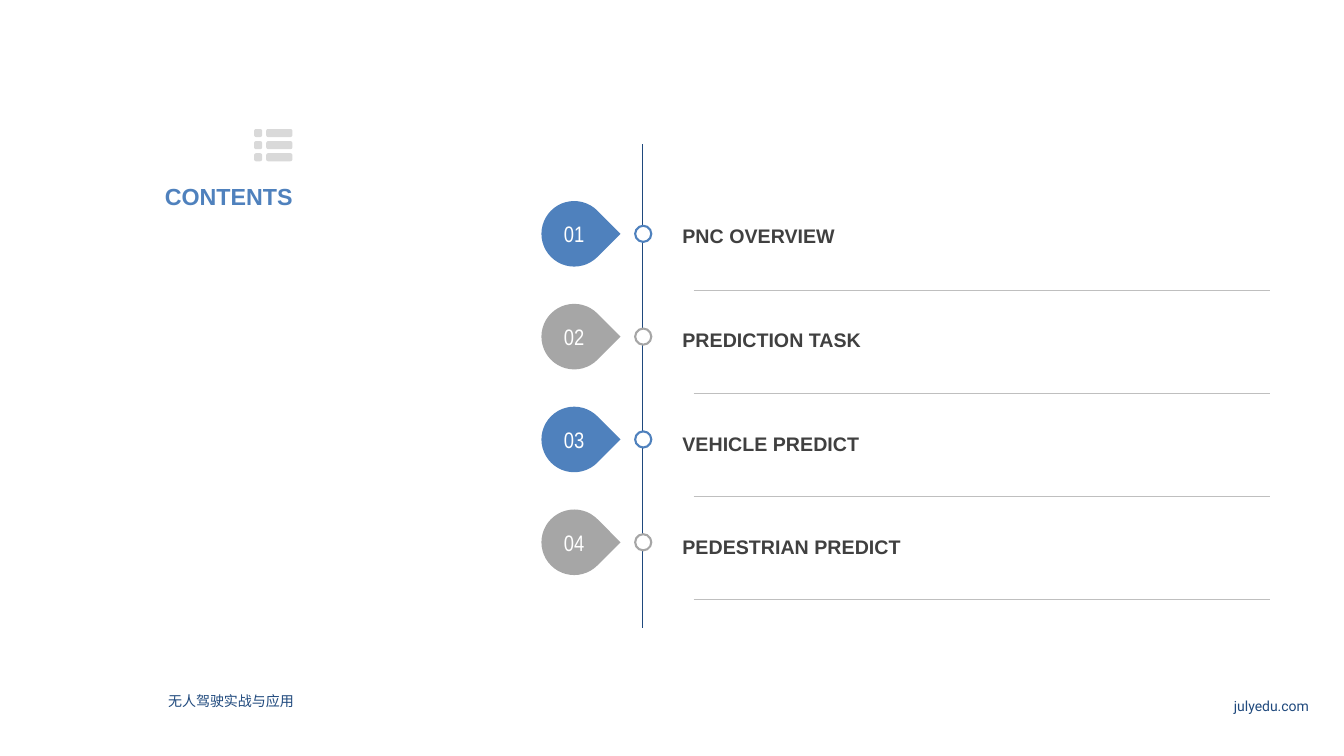
from dataclasses import dataclass
from math import cos, pi, sin

from pptx import Presentation
from pptx.dml.color import RGBColor
from pptx.enum.shapes import MSO_CONNECTOR, MSO_SHAPE
from pptx.enum.text import MSO_ANCHOR, MSO_AUTO_SIZE, PP_ALIGN
from pptx.oxml.ns import qn
from pptx.util import Inches, Pt
from lxml.etree import SubElement

# Content
HEADING = "CONTENTS"
CHAPTERS = ["PNC OVERVIEW", "PREDICTION TASK", "VEHICLE PREDICT", "PEDESTRIAN PREDICT"]
COURSE = "无人驾驶实战与应用"
SITE = "julyedu.com"


@dataclass(frozen=True)
class Theme:
    blue: str = "4F81BD"
    gray: str = "A6A6A6"
    navy: str = "1F497D"
    dark: str = "404040"
    icon: str = "D9D9D9"
    rule: str = "BFBFBF"
    white: str = "FFFFFF"
    font: str = "Arial"
    number_font: str = "Arial Narrow"
    site_font: str = "Roboto"
    heading_size: float = 16.6
    number_size: float = 16
    chapter_size: float = 14
    footer_size: float = 10


THEME = Theme()

# Layout in inches
AXIS_X, AXIS_TOP, AXIS_BOTTOM = 6.37, 1.43, 6.23
FIRST_ROW, ROW_STEP = 2.32, 1.02
DROP_X, DROP_SIZE = 5.37, 0.65
NUMBER_SIZE, RING_SIZE = 0.63, 0.16
CHAPTER_TOP, CHAPTER_STEP = 2.08, 1.03
RULE_LEFT, RULE_RIGHT, RULE_DROP = 6.88, 12.6, 0.56
ICON_COLUMNS = [(2.52, 0.08), (2.64, 0.26)]
ICON_TOP, ICON_STEP, ICON_BAR, ICON_RADIUS = 1.28, 0.12, 0.08, 0.02

prs = Presentation()
prs.slide_width, prs.slide_height = Inches(13.33), Inches(7.5)
slide = prs.slides.add_slide(prs.slide_layouts[5])


def color(value):
    return RGBColor.from_string(value)


def write(shape, text, size, ink, font=THEME.font, bold=False,
          align=PP_ALIGN.LEFT, anchor=MSO_ANCHOR.MIDDLE, wrap=True, spacing=None):
    frame = shape.text_frame
    frame.word_wrap = wrap
    frame.auto_size = MSO_AUTO_SIZE.NONE
    frame.vertical_anchor = anchor
    paragraph = frame.paragraphs[0]
    paragraph.alignment = align
    paragraph.line_spacing = spacing
    run = paragraph.add_run()
    run.text = text
    run.font.size, run.font.name, run.font.bold = Pt(size), font, bold
    run.font.color.rgb = color(ink)


def text_box(left, top, width, height):
    return slide.shapes.add_textbox(*map(Inches, (left, top, width, height)))


def centered_shape(kind, x, y, size, fill=None, line=None):
    shape = slide.shapes.add_shape(
        kind, Inches(x - size / 2), Inches(y - size / 2), Inches(size), Inches(size))
    shape.shadow.inherit = False
    if fill:
        shape.fill.solid()
        shape.fill.fore_color.rgb = color(fill)
    else:
        shape.fill.background()
    if line:
        shape.line.color.rgb = color(line)
        shape.line.width = Pt(1.5)
    else:
        shape.line.fill.background()
    return shape


def straight_line(x1, y1, x2, y2, ink, width):
    line = slide.shapes.add_connector(
        MSO_CONNECTOR.STRAIGHT, *map(Inches, (x1, y1, x2, y2)))
    line.line.color.rgb = color(ink)
    line.line.width = Pt(width)
    SubElement(line._element.spPr, qn("a:effectLst"))


def rounded_outline(left, top, width, height, radius):
    """Points around a rounded bar, clockwise from its top right corner."""
    right, bottom = left + width - radius, top + height - radius
    corners = [(right, top + radius), (right, bottom),
               (left + radius, bottom), (left + radius, top + radius)]
    points = []
    for corner, (x, y) in enumerate(corners):
        for step in range(4):
            angle = (corner - 1 + step / 3) * pi / 2
            points.append((Inches(x + radius * cos(angle)), Inches(y + radius * sin(angle))))
    return points


# Heading
heading = slide.shapes.title
heading.left, heading.top, heading.width, heading.height = map(
    Inches, (0.73, 1.77, 2.27, 0.35))
write(heading, HEADING, THEME.heading_size, THEME.blue, bold=True, align=PP_ALIGN.RIGHT)

# List icon
bars = [rounded_outline(left, ICON_TOP + row * ICON_STEP, width, ICON_BAR, ICON_RADIUS)
        for row in range(3) for left, width in ICON_COLUMNS]
builder = slide.shapes.build_freeform(*bars[0][0])
for index, bar in enumerate(bars):
    if index:
        builder.move_to(*bar[0])
    builder.add_line_segments(bar[1:], close=True)
icon = builder.convert_to_shape()
icon.shadow.inherit = False
icon.fill.solid()
icon.fill.fore_color.rgb = color(THEME.icon)
icon.line.fill.background()

# Timeline axis
straight_line(AXIS_X, AXIS_TOP, AXIS_X, AXIS_BOTTOM, THEME.navy, 0.5)

# Chapters
for index, chapter in enumerate(CHAPTERS):
    y = FIRST_ROW + index * ROW_STEP
    drop_center = DROP_X + DROP_SIZE / 2
    accent = (THEME.blue, THEME.gray)[index % 2]

    centered_shape(MSO_SHAPE.OVAL, AXIS_X + 0.01, y, RING_SIZE, THEME.white, accent)
    drop = centered_shape(MSO_SHAPE.TEAR, drop_center, y, DROP_SIZE, accent)
    drop.rotation = 45
    number = centered_shape(MSO_SHAPE.OVAL, drop_center, y, NUMBER_SIZE)
    write(number, f"{index + 1:02d}", THEME.number_size, THEME.white,
          THEME.number_font, align=PP_ALIGN.CENTER, wrap=False)

    label = text_box(6.67, CHAPTER_TOP + index * CHAPTER_STEP, 5.93, 0.47)
    write(label, chapter, THEME.chapter_size, THEME.dark, bold=True, spacing=1.2)
    straight_line(RULE_LEFT, y + RULE_DROP, RULE_RIGHT, y + RULE_DROP, THEME.rule, 0.25)

# Footer
write(text_box(10.46, 6.87, 2.62, 0.27), SITE, THEME.footer_size, THEME.navy,
      THEME.site_font, align=PP_ALIGN.RIGHT, anchor=MSO_ANCHOR.TOP)
write(text_box(1.57, 6.82, 4.53, 0.23), COURSE, THEME.footer_size, THEME.navy,
      anchor=MSO_ANCHOR.TOP)

prs.save("out.pptx")
